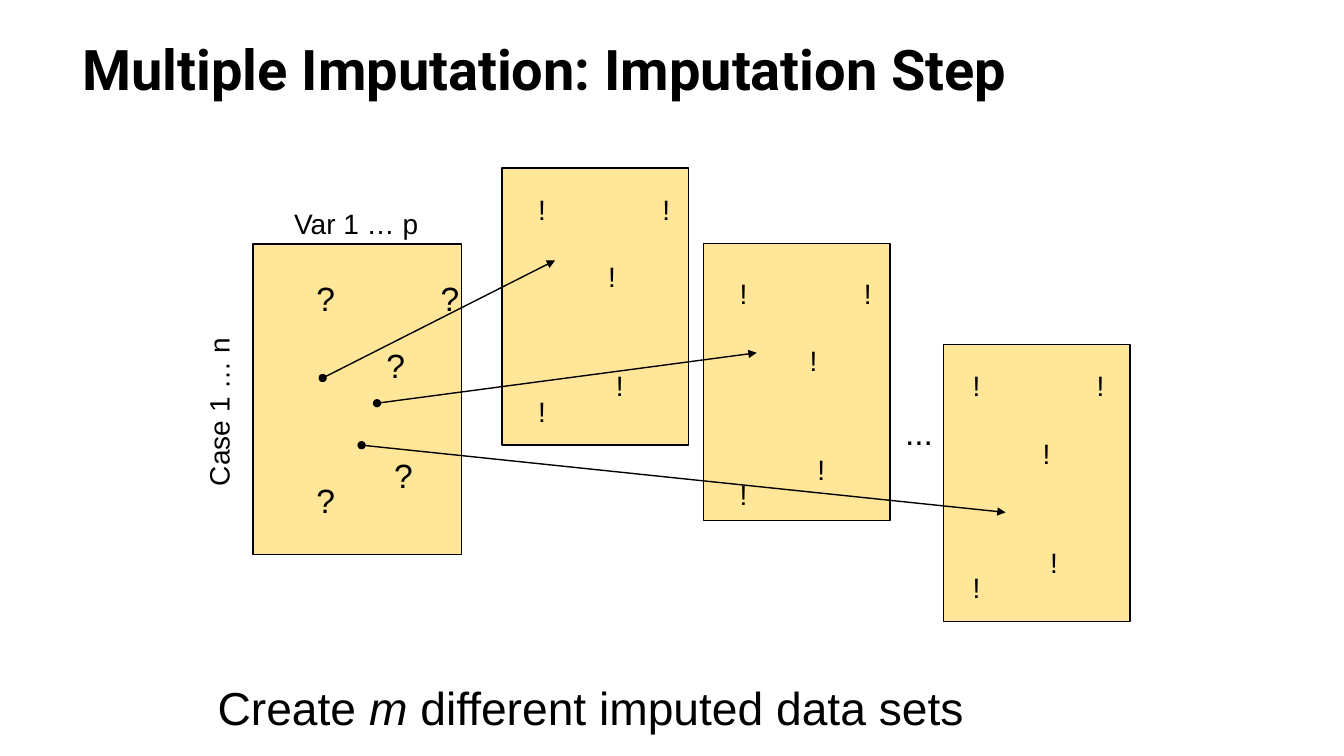
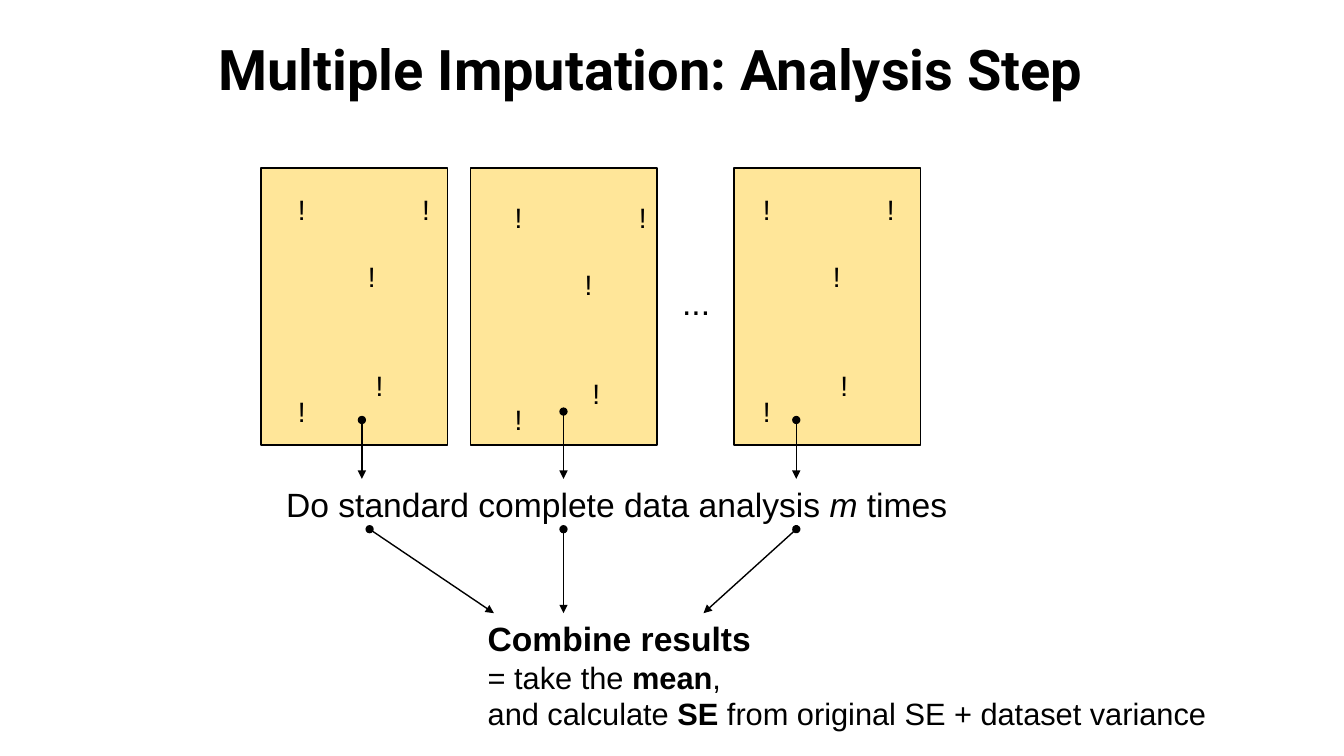
"""Build two slides on the imputation and analysis steps of multiple imputation."""
import dataclasses

import lxml.etree
import pptx
import pptx.dml.color
import pptx.enum.shapes
import pptx.enum.text
import pptx.oxml.ns
import pptx.util

Pt = pptx.util.Pt


@dataclasses.dataclass(frozen=True)
class Theme:
    ink: str = "000000"
    sheet: str = "FFE699"
    title_font: str = "Roboto"
    body_font: str = "Arial"
    title_size: int = 40
    caption_size: int = 33
    text_size: int = 24
    detail_size: int = 22
    label_size: int = 20
    line_width: int = 1


THEME = Theme()
SLIDE_SIZE = (960, 540)
TITLE_TOP, TITLE_HEIGHT = 29.5, 44
SHEET_SIZE = (133.2, 198)
SOURCE_SIZE = (149, 222)
MARK_STEPS = [(0, 144), (0, 0), (50, 48), (55.5, 126), (88.7, 0)]
MARK_BOXES = {"?": (28, 36, THEME.text_size), "!": (20, 31.7, THEME.label_size)}

SLIDES = [
    {
        "title": ("Multiple Imputation: Imputation Step", 59, 829),
        "sheets": [
            ("?", (180.7, 174.2), SOURCE_SIZE, (38.2, 20.9)),
            ("!", (358.5, 120), SHEET_SIZE, (18.8, 14)),
            ("!", (502.5, 174), SHEET_SIZE, (18.8, 19.7)),
            ("!", (674, 246), SHEET_SIZE, (13.6, 14)),
        ],
        "texts": [
            ((203, 144, 103.7, 31.7), 0, [(THEME.label_size, [("Var 1 … p", "")])]),
            ((95.8, 278, 121, 31.7), 270, [(THEME.label_size, [("Case 1 … n", "")])]),
            ((639.4, 291, 34.6, 36), 0, [(THEME.text_size, [("...", "")])]),
            ((148.3, 481.7, 553, 47.5), 0, [
                (THEME.caption_size, [("Create ", ""), ("m", "italic"),
                                      (" different imputed data sets", "")]),
            ]),
        ],
        "arrows": [
            ((230.5, 270), (396.5, 186)),
            ((269.3, 288), (540.5, 252)),
            ((258.3, 318), (718.3, 366)),
        ],
    },
    {
        "title": ("Multiple Imputation: Analysis Step", 156, 713.5),
        "sheets": [
            ("!", (186.5, 120), SHEET_SIZE, (19.2, 14)),
            ("!", (336, 120), SHEET_SIZE, (24.5, 19.7)),
            ("!", (524.2, 120), SHEET_SIZE, (13.6, 14)),
        ],
        "texts": [
            ((480.2, 198, 34.6, 36), 0, [(THEME.text_size, [("...", "")])]),
            ((197.3, 342, 491.8, 36), 0, [
                (THEME.text_size, [("Do standard complete data analysis ", ""),
                                   ("m", "italic"), (" times", "")]),
            ]),
            ((341.3, 437.8, 534.2, 90), 0, [
                (THEME.text_size, [("Combine results", "bold")]),
                (THEME.detail_size, [("= take the ", ""), ("mean", "bold"), (",", "")]),
                (THEME.detail_size, [("and calculate ", ""), ("SE", "bold"),
                                     (" from original SE + dataset variance", "")]),
            ]),
        ],
        "arrows": [
            ((258.5, 300), (258.5, 342)),
            ((402.5, 294), (402.5, 342)),
            ((568.8, 300), (568.8, 342)),
            ((264, 378), (352.8, 438)),
            ((402.5, 378), (402.5, 438)),
            ((568.8, 378), (502.5, 438)),
        ],
    },
]


def color(value):
    return pptx.dml.color.RGBColor.from_string(value)


def add_text(page, place, paragraphs, font=THEME.body_font, wrap=False):
    box = page.shapes.add_textbox(*map(Pt, place))
    frame = box.text_frame
    frame.word_wrap = wrap
    frame.auto_size = pptx.enum.text.MSO_AUTO_SIZE.SHAPE_TO_FIT_TEXT
    for index, (size, spans) in enumerate(paragraphs):
        para = frame.add_paragraph() if index else frame.paragraphs[0]
        for words, style in spans:
            span = para.add_run()
            span.text = words
            span.font.name = font
            span.font.size = Pt(size)
            span.font.bold = style == "bold"
            span.font.italic = style == "italic"
            span.font.color.rgb = color(THEME.ink)
    return box


def add_title(page, words, left, width):
    place = (left, TITLE_TOP, width, TITLE_HEIGHT)
    paragraphs = [(THEME.title_size, [(words, "bold")])]
    frame = add_text(page, place, paragraphs, THEME.title_font, True).text_frame
    frame.margin_left = frame.margin_right = frame.margin_top = frame.margin_bottom = 0
    frame.vertical_anchor = pptx.enum.text.MSO_ANCHOR.MIDDLE
    frame.paragraphs[0].line_spacing = 0.9


def add_sheet(page, mark, corner, size, offset):
    rectangle = pptx.enum.shapes.MSO_SHAPE.RECTANGLE
    sheet = page.shapes.add_shape(rectangle, *map(Pt, corner + size))
    sheet.shadow.inherit = False
    sheet.fill.solid()
    sheet.fill.fore_color.rgb = color(THEME.sheet)
    sheet.line.color.rgb = color(THEME.ink)
    sheet.line.width = Pt(THEME.line_width)
    width, height, text_size = MARK_BOXES[mark]
    for across, down in MARK_STEPS:
        left = corner[0] + offset[0] + across
        top = corner[1] + offset[1] + down
        add_text(page, (left, top, width, height), [(text_size, [(mark, "")])])


def add_arrow(page, start, end):
    straight = pptx.enum.shapes.MSO_CONNECTOR.STRAIGHT
    arrow = page.shapes.add_connector(straight, *map(Pt, start + end))
    arrow.line.color.rgb = color(THEME.ink)
    arrow.line.width = Pt(THEME.line_width)
    properties = arrow._element.spPr
    outline = properties.find(pptx.oxml.ns.qn("a:ln"))
    for tag, kind in (("a:headEnd", "oval"), ("a:tailEnd", "triangle")):
        lxml.etree.SubElement(outline, pptx.oxml.ns.qn(tag), type=kind)
    lxml.etree.SubElement(properties, pptx.oxml.ns.qn("a:effectLst"))


def main():
    deck = pptx.Presentation()
    deck.slide_width, deck.slide_height = map(Pt, SLIDE_SIZE)
    for content in SLIDES:
        page = deck.slides.add_slide(deck.slide_layouts[6])
        add_title(page, *content["title"])
        for sheet in content["sheets"]:
            add_sheet(page, *sheet)
        for place, rotation, paragraphs in content["texts"]:
            add_text(page, place, paragraphs).rotation = rotation
        for start, end in content["arrows"]:
            add_arrow(page, start, end)
    deck.save("out.pptx")


if __name__ == "__main__":
    main()
